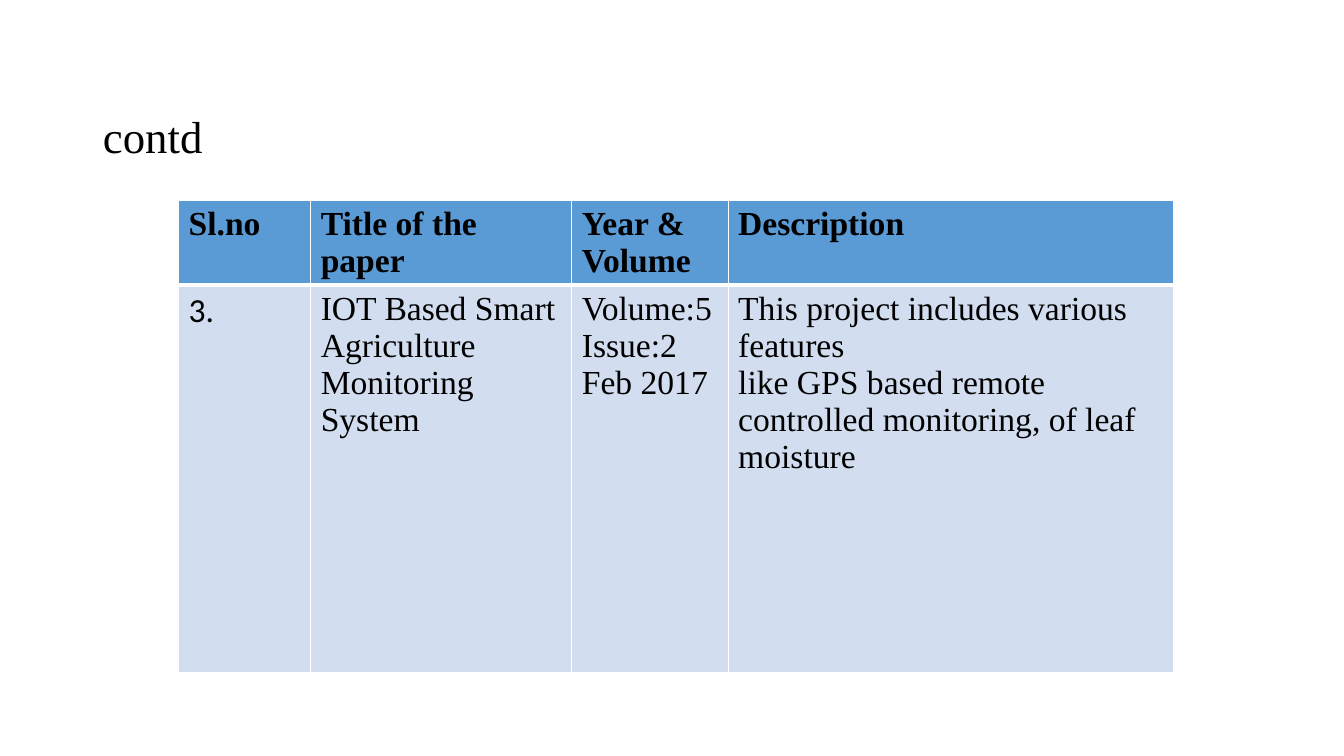
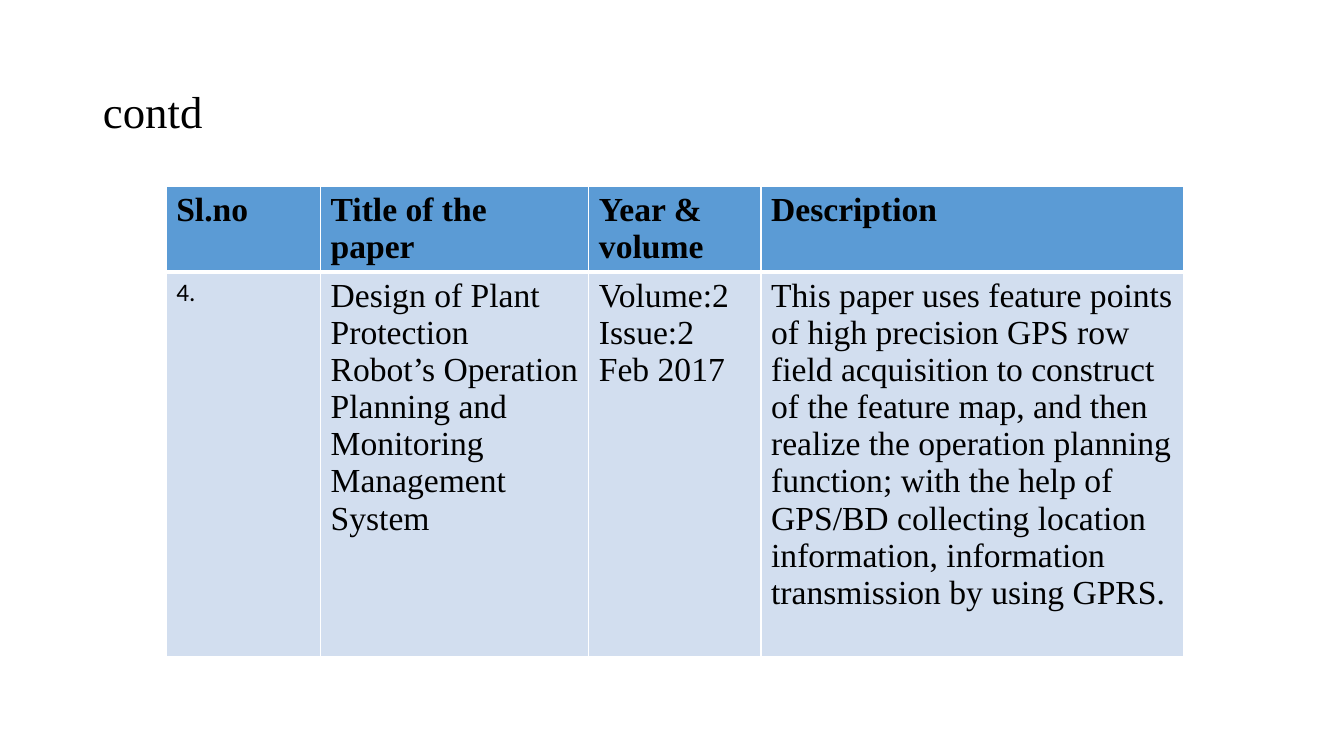
from dataclasses import dataclass

from lxml import etree
from pptx import Presentation
from pptx.dml.color import RGBColor
from pptx.enum.text import MSO_ANCHOR, PP_ALIGN
from pptx.oxml.ns import qn
from pptx.util import Cm, Pt

LEFT = PP_ALIGN.LEFT
TOP = MSO_ANCHOR.TOP
MIDDLE = MSO_ANCHOR.MIDDLE
TITLE_ONLY = 5


@dataclass(frozen=True)
class Theme:
    ink: str = "000000"
    header_fill: str = "5B9BD5"
    body_fill: str = "D2DEEF"
    rule: str = "FFFFFF"
    serif: str = "Times New Roman"
    sans: str = "Calibri"
    title_size: int = 32
    table_size: int = 24
    thin_rule: int = 1
    thick_rule: int = 3


def write(frame, text, font, size, color, bold=False, line_spacing=None):
    frame.text = text
    for paragraph in frame.paragraphs:
        paragraph.alignment = LEFT
        if line_spacing:
            paragraph.line_spacing = line_spacing
        paragraph.font.name = font
        for run in paragraph.runs:
            run.font.name = font
            run.font.size = Pt(size)
            run.font.bold = bold
            run.font.color.rgb = RGBColor.from_string(color)


class Deck:
    def __init__(self, theme):
        self.theme = theme
        self.presentation = Presentation()
        self.presentation.slide_width = Cm(33.87)
        self.presentation.slide_height = Cm(19.05)
        self.slide = None

    def add_slide(self):
        layout = self.presentation.slide_layouts[TITLE_ONLY]
        self.slide = self.presentation.slides.add_slide(layout)

    def add_title(self, text, top_inset):
        title = self.slide.shapes.title
        title.left, title.top = Cm(2.34), Cm(1.02)
        title.width, title.height = Cm(29.21), Cm(3.68)
        frame = title.text_frame
        frame.word_wrap = True
        frame.vertical_anchor = MIDDLE
        frame.margin_top = Cm(top_inset)
        write(frame, text, self.theme.serif, self.theme.title_size,
              self.theme.ink, line_spacing=0.9)

    def add_table(self, left, top, widths, heights, rows, number_size):
        theme = self.theme
        table = self.slide.shapes.add_table(
            len(rows), len(widths), Cm(left), Cm(top),
            Cm(sum(widths)), Cm(sum(heights))).table
        for column, width in zip(table.columns, widths):
            column.width = Cm(width)
        for row, height in zip(table.rows, heights):
            row.height = Cm(height)
        for row_index, row in enumerate(rows):
            header = row_index == 0
            for column_index, text in enumerate(row):
                cell = table.cell(row_index, column_index)
                numbered = column_index == 0 and not header
                cell.vertical_anchor = TOP
                cell.fill.solid()
                cell.fill.fore_color.rgb = RGBColor.from_string(
                    theme.header_fill if header else theme.body_fill)
                write(cell.text_frame, text,
                      theme.sans if numbered else theme.serif,
                      number_size if numbered else theme.table_size,
                      theme.ink, bold=header)
                self.add_borders(cell, header)

    def add_borders(self, cell, header):
        thin, thick = self.theme.thin_rule, self.theme.thick_rule
        widths = {
            "a:lnL": thin,
            "a:lnR": thin,
            "a:lnT": thin if header else thick,
            "a:lnB": thick if header else thin,
        }
        properties = cell._tc.get_or_add_tcPr()
        for index, (side, width) in enumerate(widths.items()):
            border = etree.Element(qn(side), w=str(int(Pt(width))))
            fill = etree.SubElement(border, qn("a:solidFill"))
            etree.SubElement(fill, qn("a:srgbClr"), val=self.theme.rule)
            properties.insert(index, border)


PAPERS = [
    dict(
        title_inset=1.4,
        left=4.5, top=5.06,
        widths=[3.33, 6.58, 3.94, 11.23],
        heights=[2.1, 9.75],
        number_size=24,
        volume_heading="Year &\nVolume",
        entry=[
            "3.",
            "IOT Based Smart Agriculture Monitoring System",
            "Volume:5\nIssue:2\nFeb 2017",
            "This project includes various features\n"
            "like GPS based remote controlled monitoring, of leaf moisture",
        ],
    ),
    dict(
        title_inset=0.13,
        left=4.19, top=4.7,
        widths=[3.89, 6.76, 4.34, 10.64],
        heights=[2.16, 9.68],
        number_size=18,
        volume_heading="Year & volume",
        entry=[
            "4.",
            "Design of Plant Protection Robot’s Operation Planning and "
            "Monitoring\nManagement System",
            "Volume:2\nIssue:2\nFeb 2017",
            "This paper uses feature points of high precision GPS row\n"
            "field acquisition to construct of the feature map, and then\n"
            "realize the operation planning function; with the help of "
            "GPS/BD collecting location information, information\n"
            "transmission by using GPRS.",
        ],
    ),
]

deck = Deck(Theme())
for paper in PAPERS:
    headings = ["Sl.no", "Title of the paper",
                paper["volume_heading"], "Description"]
    deck.add_slide()
    deck.add_title("contd", paper["title_inset"])
    deck.add_table(paper["left"], paper["top"], paper["widths"],
                   paper["heights"], [headings, paper["entry"]],
                   paper["number_size"])
deck.presentation.save("out.pptx")
